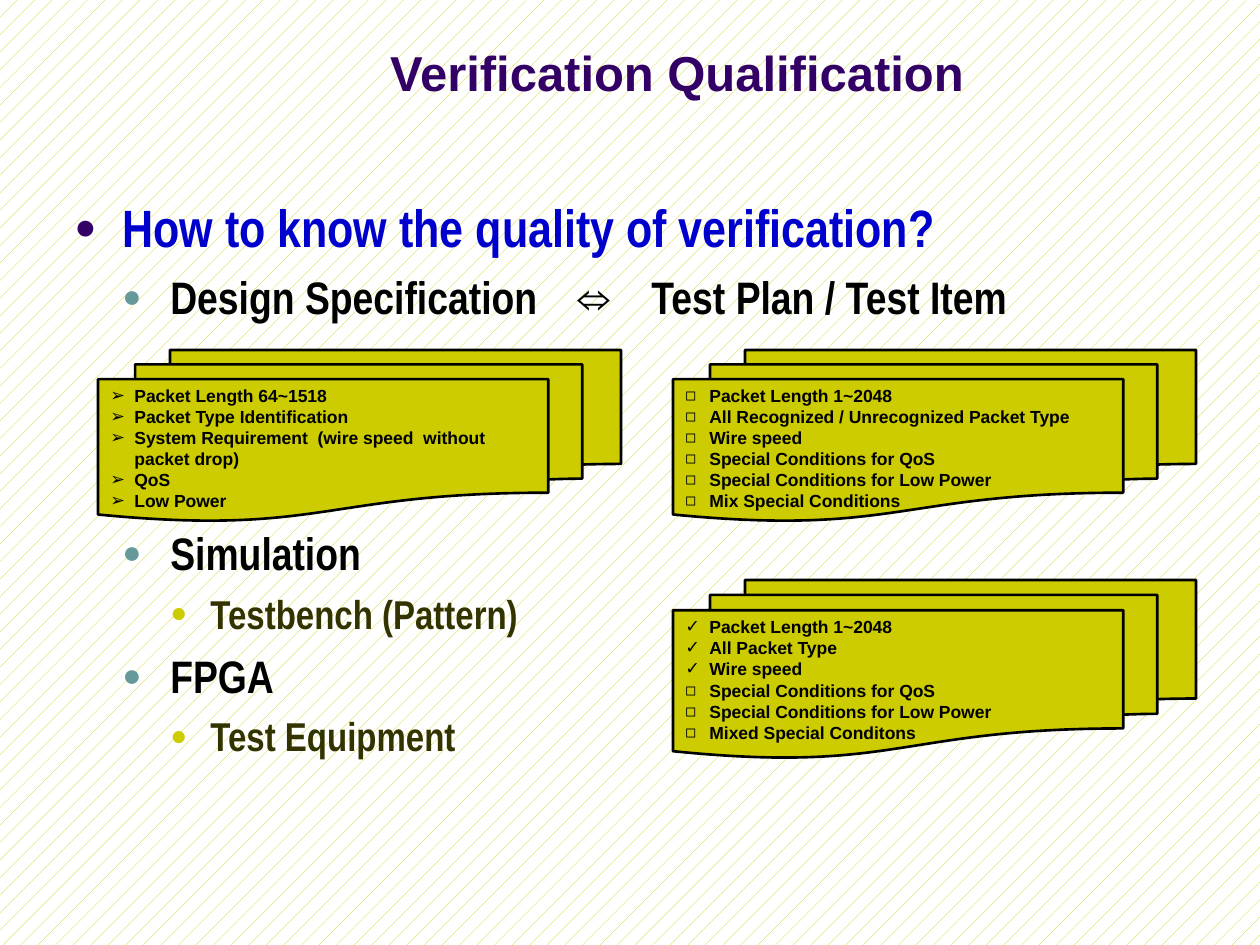
from dataclasses import dataclass

from lxml.etree import SubElement
from pptx import Presentation
from pptx.dml.color import RGBColor
from pptx.enum.dml import MSO_PATTERN
from pptx.enum.shapes import MSO_SHAPE
from pptx.enum.text import MSO_ANCHOR as Anchor, PP_ALIGN as Align
from pptx.oxml.ns import qn
from pptx.util import Emu, Pt

EMU_PER_PX = 914400 / 126

BLACK = RGBColor(0x00, 0x00, 0x00)
WHITE = RGBColor(0xFF, 0xFF, 0xFF)
PURPLE = RGBColor(0x33, 0x00, 0x66)
BLUE = RGBColor(0x00, 0x00, 0xCC)
TEAL = RGBColor(0x66, 0x99, 0x99)
OLIVE = RGBColor(0xCC, 0xCC, 0x00)
DARK_OLIVE = RGBColor(0x33, 0x33, 0x00)

ARROW, BOX, CHECK, DOT = "➢", "◻", "✓", "●"


@dataclass(frozen=True)
class Level:
    size: int
    color: RGBColor
    bullet_color: RGBColor
    margin: int
    hanging: int
    space_before: float


@dataclass(frozen=True)
class OutlineItem:
    level: Level
    text: str
    extra_space: float = 0


@dataclass(frozen=True)
class Document:
    left: int
    top: int
    height: int
    items: tuple[tuple[str, str], ...]


QUESTION = Level(30, BLUE, PURPLE, 48, 48, 0)
TOPIC = Level(26, BLACK, TEAL, 96, 48, 6)
DETAIL = Level(23, DARK_OLIVE, OLIVE, 136, 40, 5.4)

OUTLINE = (
    OutlineItem(QUESTION, "How to know the quality of verification?"),
    OutlineItem(TOPIC, "Design Specification\t⇔\tTest Plan / Test Item"),
    OutlineItem(TOPIC, "Simulation", extra_space=109.2),
    OutlineItem(DETAIL, "Testbench (Pattern)"),
    OutlineItem(TOPIC, "FPGA"),
    OutlineItem(DETAIL, "Test Equipment"),
)
TAB_STOPS = (503, 577)

DOCUMENTS = (
    Document(98, 350, 171, (
        (ARROW, "Packet Length 64~1518"),
        (ARROW, "Packet Type Identification"),
        (ARROW, "System Requirement  (wire speed  without packet drop)"),
        (ARROW, "QoS"),
        (ARROW, "Low Power"),
    )),
    Document(673, 350, 171, (
        (BOX, "Packet Length 1~2048"),
        (BOX, "All Recognized / Unrecognized Packet Type"),
        (BOX, "Wire speed"),
        (BOX, "Special Conditions for QoS"),
        (BOX, "Special Conditions for Low Power"),
        (BOX, "Mix Special Conditions"),
    )),
    Document(673, 580, 178, (
        (CHECK, "Packet Length 1~2048"),
        (CHECK, "All Packet Type"),
        (CHECK, "Wire speed"),
        (BOX, "Special Conditions for QoS"),
        (BOX, "Special Conditions for Low Power"),
        (BOX, "Mixed Special Conditons"),
    )),
)
DOCUMENT_WIDTH = 523


def px(value: int) -> Emu:
    return Emu(round(value * EMU_PER_PX))


def add_bullet(paragraph, character: str, margin: int, hanging: int,
               color: RGBColor = BLACK, percent: int = 100) -> None:
    properties = paragraph._p.get_or_add_pPr()
    properties.set("marL", str(px(margin)))
    properties.set("indent", str(-px(hanging)))
    bullet_color = SubElement(properties, qn("a:buClr"))
    SubElement(bullet_color, qn("a:srgbClr"), val=str(color))
    SubElement(properties, qn("a:buSzPct"), val=str(percent * 1000))
    SubElement(properties, qn("a:buFont"), typeface="Arial")
    SubElement(properties, qn("a:buChar"), char=character)


def add_tab_stops(paragraph, positions: tuple[int, ...]) -> None:
    tab_list = SubElement(paragraph._p.get_or_add_pPr(), qn("a:tabLst"))
    for position in positions:
        SubElement(tab_list, qn("a:tab"), pos=str(px(position)), algn="l")


def format_runs(paragraph, name: str, size: int, color: RGBColor) -> None:
    for run in paragraph.runs:
        run.font.name = name
        run.font.size = Pt(size)
        run.font.bold = True
        run.font.color.rgb = color


def add_title(slide, text: str) -> None:
    frame = slide.shapes.add_textbox(px(227), px(16), px(900), px(112)).text_frame
    frame.word_wrap = True
    frame.vertical_anchor = Anchor.MIDDLE
    frame.text = text
    paragraph = frame.paragraphs[0]
    paragraph.alignment = Align.CENTER
    format_runs(paragraph, "Arial", 28, PURPLE)


def add_outline(slide, items: tuple[OutlineItem, ...]) -> None:
    frame = slide.shapes.add_textbox(px(62), px(189), px(1134), px(662)).text_frame
    frame.word_wrap = True
    frame.text = "\n".join(item.text for item in items)
    for paragraph, item in zip(frame.paragraphs, items):
        level = item.level
        add_bullet(paragraph, DOT, level.margin, level.hanging, level.bullet_color, 70)
        if "\t" in item.text:
            add_tab_stops(paragraph, TAB_STOPS)
        paragraph.space_before = Pt(level.space_before + item.extra_space)
        format_runs(paragraph, "Arial Narrow", level.size, level.color)


def add_document(slide, document: Document) -> None:
    shape = slide.shapes.add_shape(
        MSO_SHAPE.FLOWCHART_MULTIDOCUMENT, px(document.left), px(document.top),
        px(DOCUMENT_WIDTH), px(document.height))
    shape.shadow.inherit = False
    shape.fill.solid()
    shape.fill.fore_color.rgb = OLIVE
    shape.line.color.rgb = BLACK
    shape.line.width = Pt(1.5)
    frame = shape.text_frame
    frame.vertical_anchor = Anchor.TOP
    frame.text = "\n".join(text for _, text in document.items)
    for paragraph, (bullet, _) in zip(frame.paragraphs, document.items):
        paragraph.alignment = Align.LEFT
        add_bullet(paragraph, bullet, 24, 24)
        format_runs(paragraph, "Arial", 10, BLACK)


def main() -> None:
    presentation = Presentation()
    presentation.slide_width = px(1260)
    presentation.slide_height = px(945)
    slide = presentation.slides.add_slide(presentation.slide_layouts[6])
    background = slide.background.fill
    background.patterned()
    background.pattern = MSO_PATTERN.PERCENT_5
    background.fore_color.rgb = OLIVE
    background.back_color.rgb = WHITE
    add_title(slide, "Verification Qualification")
    add_outline(slide, OUTLINE)
    for document in DOCUMENTS:
        add_document(slide, document)
    presentation.save("out.pptx")


if __name__ == "__main__":
    main()
